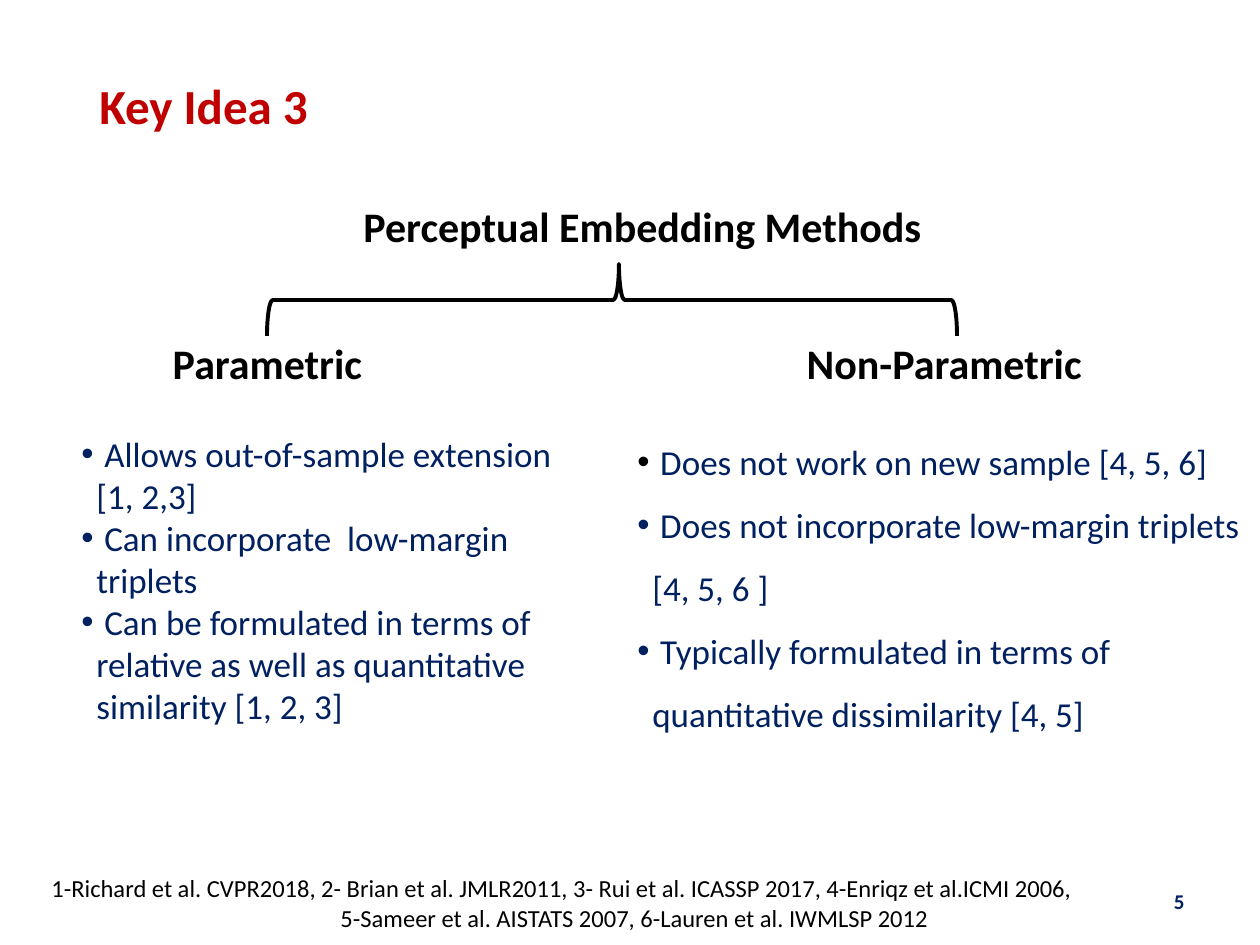
from lxml.etree import SubElement
from pptx import Presentation
from pptx.dml.color import RGBColor
from pptx.enum.shapes import MSO_SHAPE
from pptx.enum.text import MSO_ANCHOR, PP_ALIGN
from pptx.oxml.ns import qn
from pptx.util import Emu, Pt

BLACK = RGBColor(0x00, 0x00, 0x00)
WHITE = RGBColor(0xFF, 0xFF, 0xFF)
NAVY = RGBColor(0x00, 0x20, 0x60)
RED = RGBColor(0xC0, 0x00, 0x00)

EMU_PER_PX = 914400 / 126
BULLET_INDENT = 15

# text, (left, top, width, height), inset
HEADINGS = [
    ("Perceptual Embedding Methods", (267, 179, 751, 100), 15),
    ("Parametric", (115, 334, 305, 63), 14),
    ("Non-Parametric ", (672, 334, 554, 63), 14),
]

PARAMETRIC = [
    " Allows out-of-sample extension [1, 2,3]",
    " Can incorporate  low-margin triplets",
    " Can be formulated in terms of relative as well as quantitative similarity [1, 2, 3]",
]
NON_PARAMETRIC = [
    " Does not work on new sample [4, 5, 6]",
    " Does not incorporate low-margin triplets [4, 5, 6 ]",
    " Typically formulated in terms of quantitative dissimilarity [4, 5]",
]
# points, frame, line spacing, bullet colours
COLUMNS = [
    (PARAMETRIC, (69, 426, 533, 310), 1.0, [NAVY, NAVY, NAVY]),
    (NON_PARAMETRIC, (625, 413, 630, 331), 1.5, [BLACK, NAVY, NAVY]),
]

REFERENCES = [
    ("1-Richard et al. CVPR2018, 2- Brian et al. JMLR2011, 3- Rui et al. ICASSP 2017, "
     "4-Enriqz et al.ICMI 2006,", PP_ALIGN.LEFT),
    ("5-Sameer et al. AISTATS 2007, 6-Lauren et al. IWMLSP 2012", PP_ALIGN.CENTER),
]


def px(length):
    return Emu(round(length * EMU_PER_PX))


def place(frame):
    return [px(length) for length in frame]


def write(box, text, size=20, color=BLACK, bold=False, align=PP_ALIGN.LEFT, spacing=1.0):
    """Put text in the first empty paragraph of the box, or in a new one."""
    text_frame = box.text_frame
    text_frame.word_wrap = True
    first = text_frame.paragraphs[0]
    para = text_frame.add_paragraph() if first.runs else first
    para.alignment = align
    para.line_spacing = spacing
    span = para.add_run()
    span.text = text
    span.font.name = "Calibri"
    span.font.size = Pt(size)
    span.font.bold = bold
    span.font.color.rgb = color
    return para


def add_bullet(para, color):
    properties = para._p.get_or_add_pPr()
    properties.set("marL", str(px(BULLET_INDENT)))
    properties.set("indent", str(px(-BULLET_INDENT)))
    bullet_color = SubElement(properties, qn("a:buClr"))
    SubElement(bullet_color, qn("a:srgbClr"), val=str(color))
    SubElement(properties, qn("a:buFont"), typeface="Arial")
    SubElement(properties, qn("a:buChar"), char="•")


def add_text_box(page, frame):
    return page.shapes.add_textbox(*place(frame))


def add_outline(page, preset, frame, color, width):
    shape = page.shapes.add_shape(preset, *place(frame))
    shape.shadow.inherit = False
    shape.fill.background()
    shape.line.color.rgb = color
    shape.line.width = Pt(width)
    return shape


def add_heading(page, text, frame, inset):
    box = add_outline(page, MSO_SHAPE.ROUNDED_RECTANGLE, frame, WHITE, 2)
    box.adjustments[0] = 0.1
    text_frame = box.text_frame
    text_frame.vertical_anchor = MSO_ANCHOR.MIDDLE
    text_frame.margin_left = text_frame.margin_right = px(inset)
    text_frame.margin_top = text_frame.margin_bottom = px(inset)
    write(box, text, size=24, bold=True, align=PP_ALIGN.CENTER, spacing=0.9)


def main():
    deck = Presentation()
    deck.slide_width, deck.slide_height = px(1260), px(945)
    page = deck.slides.add_slide(deck.slide_layouts[6])

    number = add_text_box(page, (903, 876, 294, 50))
    number.text_frame.vertical_anchor = MSO_ANCHOR.MIDDLE
    write(number, "5", size=12, color=NAVY, bold=True, align=PP_ALIGN.RIGHT)

    for heading in HEADINGS:
        add_heading(page, *heading)

    for points, frame, spacing, bullet_colors in COLUMNS:
        column = add_text_box(page, frame)
        for point, bullet_color in zip(points, bullet_colors):
            add_bullet(write(column, point, color=NAVY, spacing=spacing), bullet_color)

    references = add_text_box(page, (39, 867, 1191, 72))
    for reference, align in REFERENCES:
        write(references, reference, size=14, align=align)

    title = add_text_box(page, (87, 69, 394, 72))
    write(title, "Key Idea 3", size=28, color=RED, bold=True)

    brace = add_outline(page, MSO_SHAPE.LEFT_BRACE, (576, -45, 72, 690), BLACK, 2.25)
    brace.rotation = 90
    brace.adjustments[0] = 0.08
    brace.adjustments[1] = 0.49

    deck.save("out.pptx")


if __name__ == "__main__":
    main()
